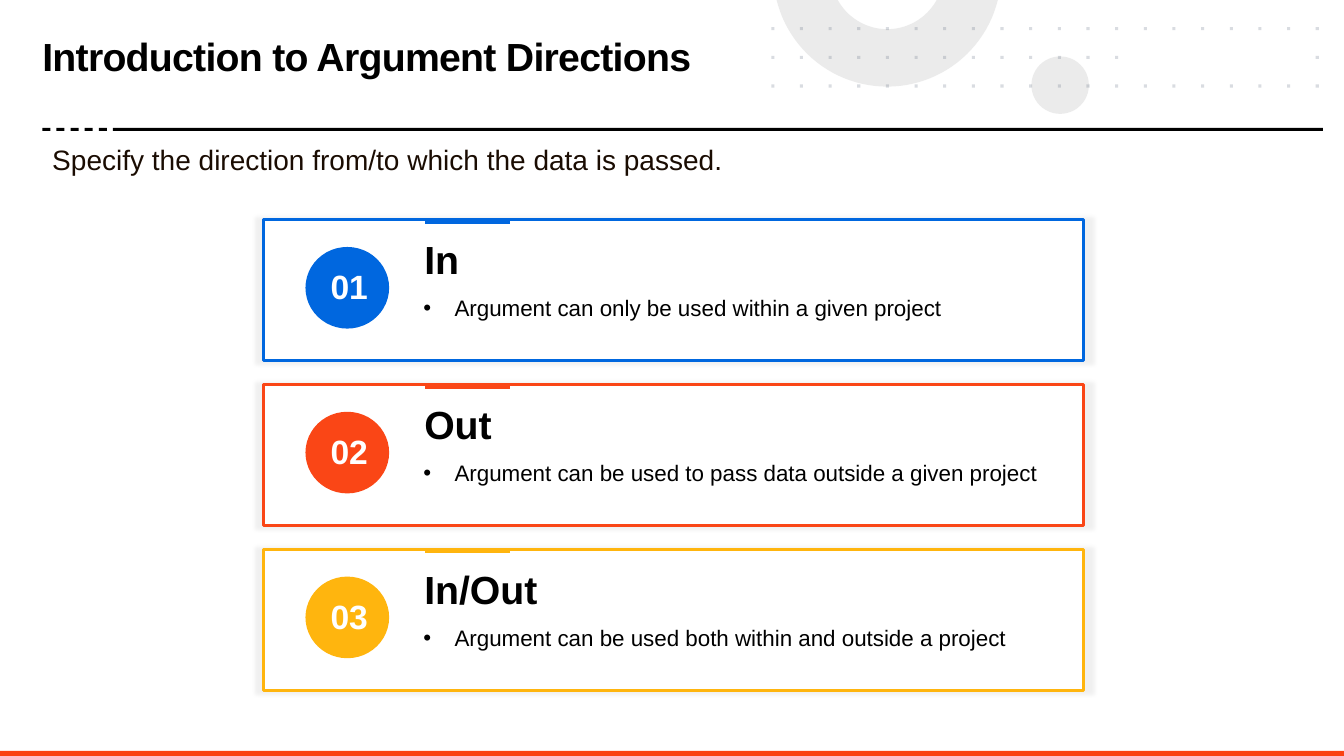
import math

import lxml.etree
import pptx
import pptx.dml.color
import pptx.enum.shapes
import pptx.oxml
import pptx.oxml.ns
import pptx.util

Inches = pptx.util.Inches
Pt = pptx.util.Pt
RGBColor = pptx.dml.color.RGBColor
SHAPE = pptx.enum.shapes.MSO_SHAPE
qn = pptx.oxml.ns.qn

BLACK = RGBColor(0x00, 0x00, 0x00)
WHITE = RGBColor(0xFF, 0xFF, 0xFF)
INTRO_BROWN = RGBColor(0x1A, 0x0C, 0x02)
LIGHT_GRAY = RGBColor(0xD9, 0xD9, 0xD9)
SLATE = RGBColor(0x44, 0x54, 0x6A)
FOOTER_ORANGE = RGBColor(0xFA, 0x42, 0x11)
BLUE = RGBColor(0x00, 0x67, 0xDF)
ORANGE = RGBColor(0xFA, 0x46, 0x16)
YELLOW = RGBColor(0xFF, 0xB5, 0x0E)

deck = pptx.Presentation()
deck.slide_width = Inches(13.33)
deck.slide_height = Inches(7.5)
slide = deck.slides.add_slide(deck.slide_layouts[6])


def paint(shape, color, opacity=100):
    shape.shadow.inherit = False
    shape.fill.solid()
    shape.fill.fore_color.rgb = color
    shape.line.fill.background()
    if opacity < 100:
        tint = shape.fill._xPr.find(qn("a:solidFill"))[0]
        lxml.etree.SubElement(tint, qn("a:alpha"), val=str(opacity * 1000))
    return shape


def write(left, top, width, height, text, size, color, bold=False, spacing=None, wrap=True, bullet=False):
    frame = slide.shapes.add_textbox(Inches(left), Inches(top), Inches(width), Inches(height)).text_frame
    frame.word_wrap = wrap
    paragraph = frame.paragraphs[0]
    if spacing:
        paragraph.line_spacing = spacing
    if bullet:
        properties = paragraph._p.get_or_add_pPr()
        properties.set("marL", str(Inches(0.31)))
        properties.set("indent", str(-Inches(0.31)))
        lxml.etree.SubElement(properties, qn("a:buFont"), typeface="Arial")
        lxml.etree.SubElement(properties, qn("a:buChar"), char="•")
    run = paragraph.add_run()
    run.text = text
    run.font.name = "Arial"
    run.font.size = Pt(size)
    run.font.bold = bold
    run.font.color.rgb = color
    return frame


small_disc = slide.shapes.add_shape(SHAPE.OVAL, Inches(10.23), Inches(0.56), Inches(0.57), Inches(0.57))
paint(small_disc, LIGHT_GRAY, 50)

ring_x, ring_y = 8.8, -0.27
ring_points = []
for radius, direction in ((1.13, 1), (0.56, -1)):
    edge = math.asin(-ring_y / radius)
    arc = []
    for step in range(49):
        angle = edge + (math.pi - 2 * edge) * step / 48
        arc.append((Inches(ring_x + radius * math.cos(angle)), Inches(ring_y + radius * math.sin(angle))))
    ring_points += arc[::direction]
ring = slide.shapes.build_freeform(*ring_points[0])
ring.add_line_segments(ring_points[1:])
paint(ring.convert_to_shape(), LIGHT_GRAY, 50)

dot_size = Inches(0.03)
dot_pitch = (13.05 - 7.65) / 19
for first, last in ((14, 20), (0, 6), (6, 12), (12, 14)):
    corners = [
        (Inches(7.65 + column * dot_pitch), Inches(0.27 + row * dot_pitch))
        for row in range(3)
        for column in range(first, last)
        if row != 1 or not 13 <= column <= 18
    ]
    dots = slide.shapes.build_freeform(*corners[0])
    for x, y in corners:
        if (x, y) != corners[0]:
            dots.move_to(x, y)
        dots.add_line_segments([(x + dot_size, y), (x + dot_size, y + dot_size), (x, y + dot_size)])
    paint(dots.convert_to_shape(), SLATE, 20)

title = write(0.42, 0.39, 7.23, 0.75, "Introduction to Argument Directions", 28, BLACK, bold=True, spacing=0.85)
title.margin_left = title.margin_right = title.margin_top = title.margin_bottom = 0
title.paragraphs[0].runs[0].font._element.set("spc", "-50")

bars = [(1.12, 1.27, 12, 0.03, BLACK), (0, 7.45, 13.33, 0.05, FOOTER_ORANGE)]
bars += [(0.42 + 0.14 * dash, 1.27, 0.08, 0.03, BLACK) for dash in range(5)]
for left, top, width, height, color in bars:
    bar = slide.shapes.add_shape(SHAPE.RECTANGLE, Inches(left), Inches(top), Inches(width), Inches(height))
    paint(bar, color)

write(0.42, 1.36, 12.67, 0.44, "Specify the direction from/to which the data is passed.", 20, INTRO_BROWN)

directions = [
    ("In", "Argument can only be used within a given project", BLUE),
    ("Out", "Argument can be used to pass data outside a given project", ORANGE),
    ("In/Out", "Argument can be used both within and outside a project", YELLOW),
]
card_pitch = (5.45 - 2.18) / 2
for index, (heading, description, color) in enumerate(directions):
    top = 2.18 + index * card_pitch
    card = slide.shapes.add_shape(SHAPE.RECTANGLE, Inches(2.61), Inches(top), Inches(8.14), Inches(1.4))
    paint(card, WHITE)
    card.line.color.rgb = color
    card.line.width = Pt(2)
    glow = lxml.etree.SubElement(
        card._element.spPr.find(qn("a:effectLst")), qn("a:outerShdw"),
        blurRad=str(Pt(3)), dist="0", dir="0", sx="102000", sy="102000", algn="ctr", rotWithShape="0",
    )
    glow_color = lxml.etree.SubElement(glow, qn("a:srgbClr"), val="000000")
    lxml.etree.SubElement(glow_color, qn("a:alpha"), val="5000")

    accent = slide.shapes.add_connector(
        pptx.enum.shapes.MSO_CONNECTOR.STRAIGHT,
        Inches(4.22), Inches(top + 0.02), Inches(5.06), Inches(top + 0.02),
    )
    accent.line.color.rgb = color
    accent.line.width = Pt(3)
    lxml.etree.SubElement(accent._element.spPr, qn("a:effectLst"))

    write(4.11, top + 0.2, 6.65, 0.46, heading, 28, BLACK, bold=True, spacing=0.8)
    write(4.1, top + 0.64, 6.65, 0.62, description, 16, BLACK, spacing=1.2, bullet=True)
    badge = slide.shapes.add_shape(SHAPE.OVAL, Inches(3.03), Inches(top + 0.27), Inches(0.83), Inches(0.81))
    paint(badge, color)
    write(3.18, top + 0.41, 0.58, 0.5, f"{index + 1:02d}", 24, WHITE, bold=True, wrap=False)

deck.save("out.pptx")
